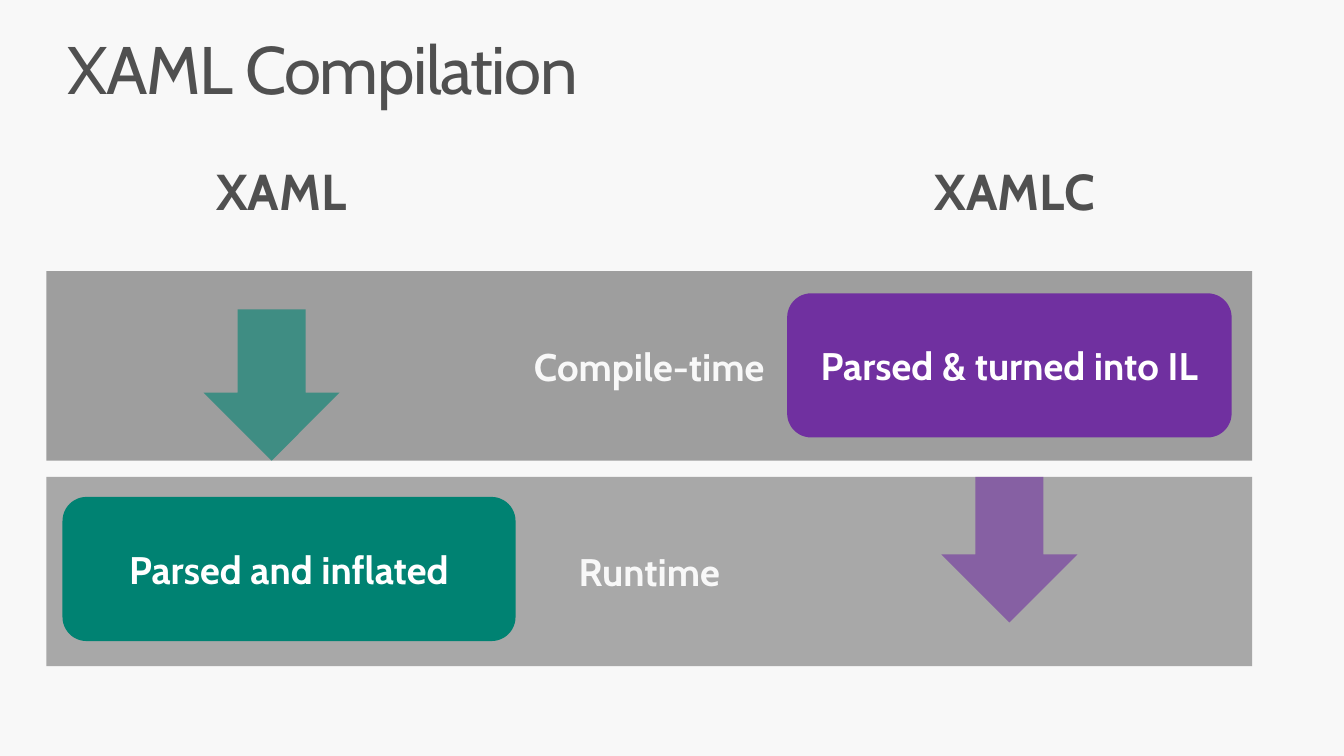
from dataclasses import dataclass

from lxml.etree import SubElement
from pptx import Presentation
from pptx.dml.color import RGBColor
from pptx.enum.shapes import MSO_SHAPE
from pptx.enum.text import MSO_ANCHOR, PP_ALIGN
from pptx.oxml.ns import qn
from pptx.util import Inches, Pt

FONT = "Cabin"
DARK, LIGHT, WHITE = "505050", "F8F8F8", "FFFFFF"
TEAL, PURPLE = "008272", "7030A0"
COMPILE_TOP, RUNTIME_TOP = 5.38, 9.46
BAND_HEIGHT = 3.76
ARROW_WIDTH = 2.7


@dataclass
class Box:
    left: float
    top: float
    width: float
    height: float

    def lengths(self):
        return [Inches(n) for n in (self.left, self.top, self.width, self.height)]


@dataclass
class Block:
    text: str
    box: Box
    fill: str
    text_color: str = WHITE
    kind: MSO_SHAPE = MSO_SHAPE.ROUNDED_RECTANGLE


@dataclass
class Arrow:
    box: Box
    fill: str


def rgb(color: str) -> RGBColor:
    return RGBColor.from_string(color)


def write(shape, text: str, size: float, color: str, bold: bool,
          alignment: PP_ALIGN, margins: tuple[float, float]):
    """Put one styled paragraph in the shape; margins are side and top/bottom."""
    frame = shape.text_frame
    frame.word_wrap = True
    frame.margin_left = frame.margin_right = Inches(margins[0])
    frame.margin_top = frame.margin_bottom = Inches(margins[1])
    paragraph = frame.paragraphs[0]
    paragraph.text = text
    paragraph.alignment = alignment
    font = paragraph.font
    font.name, font.size, font.bold = FONT, Pt(size), bold
    font.color.rgb = rgb(color)
    return paragraph


def add_filled_shape(slide, kind: MSO_SHAPE, box: Box, fill: str):
    shape = slide.shapes.add_shape(kind, *box.lengths())
    shape.shadow.inherit = False
    shape.fill.solid()
    shape.fill.fore_color.rgb = rgb(fill)
    shape.line.fill.background()
    return shape


def add_block(slide, block: Block) -> None:
    shape = add_filled_shape(slide, block.kind, block.box, block.fill)
    write(shape, block.text, 54.9, block.text_color, True, PP_ALIGN.CENTER, (0, 0.1))
    shape.text_frame.vertical_anchor = MSO_ANCHOR.MIDDLE


def add_arrow(slide, arrow: Arrow) -> None:
    shape = add_filled_shape(slide, MSO_SHAPE.DOWN_ARROW, arrow.box, arrow.fill)
    color = shape.fill._xPr.find(qn("a:solidFill"))[0]
    SubElement(color, qn("a:alpha"), val="60000")


def add_title(slide, text: str) -> None:
    title = slide.shapes.add_textbox(*Box(1.18, 0.63, 25.49, 2.03).lengths())
    paragraph = write(title, text, 96, DARK, False, PP_ALIGN.LEFT, (0.16, 0.1))
    paragraph.line_spacing = 0.9
    paragraph.runs[0].font._element.set("spc", "-200")


def add_heading(slide, text: str, left: float) -> None:
    heading = slide.shapes.add_textbox(*Box(left, 3.12, 5.38, 2.82).lengths())
    paragraph = write(heading, text, 72, DARK, True, PP_ALIGN.CENTER, (0.31, 0.2))
    paragraph.line_spacing = 0.9


BLOCKS = [
    Block("Runtime", Box(0.92, RUNTIME_TOP, 23.93, BAND_HEIGHT), "A8A8A8", LIGHT,
          MSO_SHAPE.RECTANGLE),
    Block("Compile-time", Box(0.92, COMPILE_TOP, 23.93, BAND_HEIGHT), "9E9E9E", LIGHT,
          MSO_SHAPE.RECTANGLE),
    Block("Parsed and inflated", Box(1.24, 9.86, 8.99, 2.86), TEAL),
    Block("Parsed & turned into IL", Box(15.62, 5.82, 8.82, 2.86), PURPLE),
]
ARROWS = [
    Arrow(Box(18.68, RUNTIME_TOP, ARROW_WIDTH, 2.89), PURPLE),
    Arrow(Box(4.04, 6.14, ARROW_WIDTH, 3), TEAL),
]
HEADINGS = {"XAML": 2.89, "XAMLC": 17.45}


def main() -> None:
    presentation = Presentation()
    presentation.slide_width = Inches(26.67)
    presentation.slide_height = Inches(15)
    slide = presentation.slides.add_slide(presentation.slide_layouts[6])
    slide.background.fill.solid()
    slide.background.fill.fore_color.rgb = rgb(LIGHT)

    add_title(slide, "XAML Compilation")
    for block in BLOCKS:
        add_block(slide, block)
    for arrow in ARROWS:
        add_arrow(slide, arrow)
    for text, left in HEADINGS.items():
        add_heading(slide, text, left)
    presentation.save("out.pptx")


if __name__ == "__main__":
    main()
